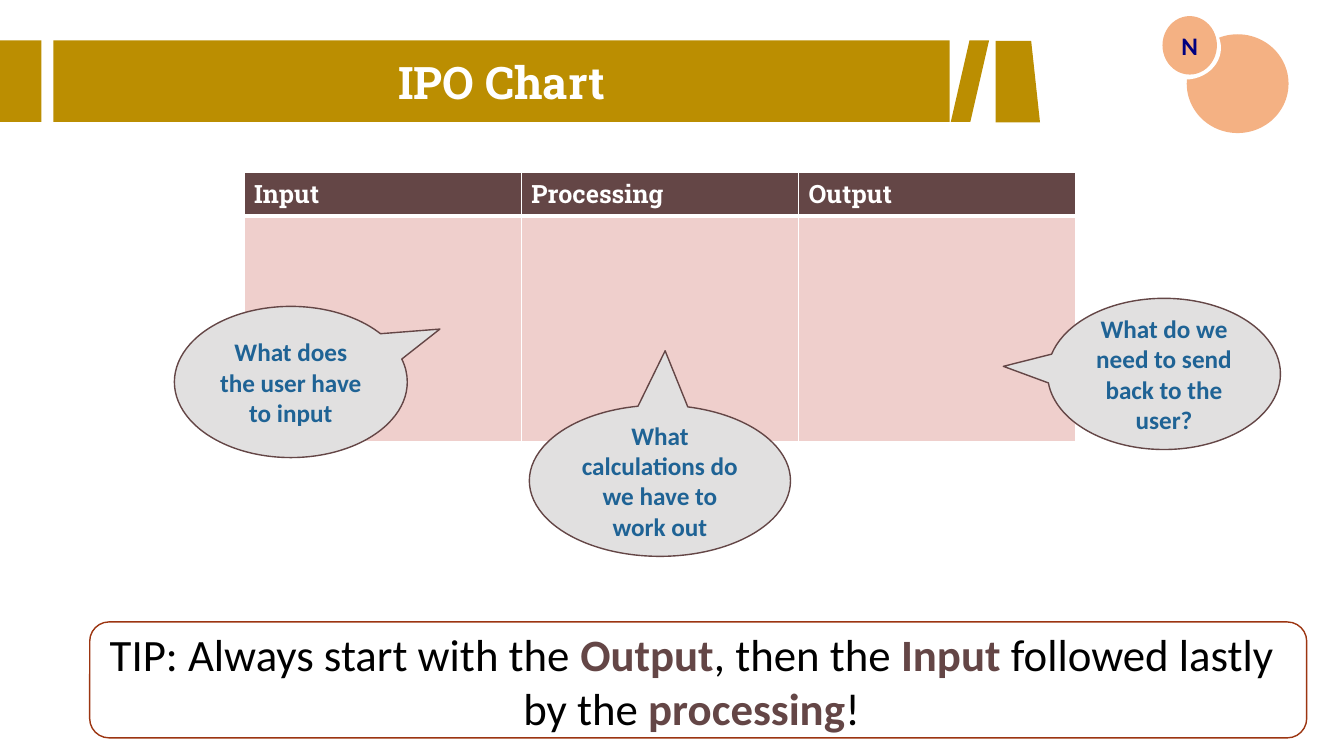
from lxml import etree
from pptx import Presentation
from pptx import util as u
from pptx.dml.color import RGBColor
from pptx.enum import shapes, text
from pptx.oxml import ns

PX = 9144  # 100 px to the inch
WHITE = RGBColor(0xFF, 0xFF, 0xFF)
BLACK = RGBColor(0x00, 0x00, 0x00)
GOLD = RGBColor(0xBB, 0x8E, 0x01)
PEACH = RGBColor(0xF4, 0xB1, 0x83)
NAVY = RGBColor(0x00, 0x00, 0x80)
PLUM = RGBColor(0x64, 0x46, 0x46)
PINK = RGBColor(0xEF, 0xCF, 0xCC)
GREY = RGBColor(0xE1, 0xE0, 0xE0)
BLUE = RGBColor(0x1F, 0x63, 0x95)
RUST = RGBColor(0x9C, 0x35, 0x11)
KIND = shapes.MSO_SHAPE
CENTER = text.PP_ALIGN.CENTER

presentation = Presentation()
presentation.slide_width = 1333 * PX
presentation.slide_height = 750 * PX
slide = presentation.slides.add_slide(presentation.slide_layouts[6])


def write(frame, *pieces, size=18, font="Calibri", color=BLACK, bold=True,
          accent=None, align=CENTER):
    """Write one paragraph; with an accent, every second piece is bold in it."""
    frame.word_wrap = True
    paragraph = frame.paragraphs[0]
    paragraph.alignment = align
    for index, piece in enumerate(pieces):
        accented = accent is not None and index % 2 == 1
        run = paragraph.add_run()
        run.text = piece
        run.font.size = u.Pt(size)
        run.font.name = font
        run.font.bold = bold or accented
        run.font.color.rgb = accent if accented else color


def draw(kind, box, fill=None, line=None, adjust=()):
    shape = slide.shapes.add_shape(kind, *(side * PX for side in box))
    shape.shadow.inherit = False
    if fill is None:
        shape.fill.background()
    else:
        shape.fill.solid()
        shape.fill.fore_color.rgb = fill
    if line is None:
        shape.line.fill.background()
    else:
        shape.line.color.rgb = line
        shape.line.width = u.Pt(1)
    for index, value in enumerate(adjust):
        shape.adjustments[index] = value
    shape.text_frame.vertical_anchor = text.MSO_ANCHOR.MIDDLE
    return shape


# IPO table
HEADINGS = ["Input", "Processing", "Output"]
table = slide.shapes.add_table(2, 3, 242 * PX, 171 * PX, 825 * PX, 265 * PX).table
table.rows[0].height = 41 * PX
table.rows[1].height = 224 * PX
for row, fill in enumerate([PLUM, PINK]):
    for column, heading in enumerate(HEADINGS):
        cell = table.cell(row, column)
        properties = cell._tc.get_or_add_tcPr()
        top, bottom = (1, 3) if row == 0 else (3, 1)
        for side, width in [("L", 1), ("R", 1), ("T", top), ("B", bottom)]:
            border = etree.SubElement(properties, ns.qn("a:ln" + side), w=str(u.Pt(width)))
            paint = etree.SubElement(border, ns.qn("a:solidFill"))
            etree.SubElement(paint, ns.qn("a:srgbClr"), val=str(WHITE))
        cell.fill.solid()
        cell.fill.fore_color.rgb = fill
        if row == 0:
            write(cell.text_frame, heading, font="Roboto Slab", color=WHITE,
                  align=text.PP_ALIGN.LEFT)

# Question callouts
CALLOUTS = [
    ("What does the user have to input", (173, 304, 231, 150), (0.64, -0.35)),
    ("What calculations do we have to work out", (525, 402, 259, 150), (0.02, -0.86)),
    ("What do we need to send back to the user?", (1039, 296, 231, 150), (-0.69, -0.05)),
]
for question, box, tip in CALLOUTS:
    callout = draw(KIND.OVAL_CALLOUT, box, GREY, PLUM, tip)
    write(callout.text_frame, question, color=BLUE)

# Title band
draw(KIND.RECTANGLE, (0, 40, 41, 81), GOLD)
title = draw(KIND.RECTANGLE, (53, 40, 889, 81), GOLD)
write(title.text_frame, "IPO Chart", size=32, font="Roboto Slab", color=WHITE)
draw(KIND.PARALLELOGRAM, (943, 40, 38, 81), GOLD, adjust=[0.49])
band_end = draw(KIND.FLOWCHART_MANUAL_INPUT, (969, 59, 81, 44), GOLD)
band_end.rotation = 90

# Corner badge
draw(KIND.OVAL, (1177, 34, 101, 98), PEACH)
draw(KIND.OVAL, (1140, 16, 71, 63), WHITE)
badge = draw(KIND.OVAL, (1153, 16, 54, 58), PEACH)
write(badge.text_frame, "N", color=NAVY)

# Tip
tip_text = slide.shapes.add_textbox(94 * PX, 617 * PX, 1184 * PX, 118 * PX)
write(tip_text.text_frame, "TIP: Always start with the ", "Output", ", then the ",
      "Input", " followed lastly by the ", "processing", "!",
      size=32, bold=False, accent=PLUM)
draw(KIND.ROUNDED_RECTANGLE, (89, 617, 1207, 115), line=RUST)

presentation.save("out.pptx")
